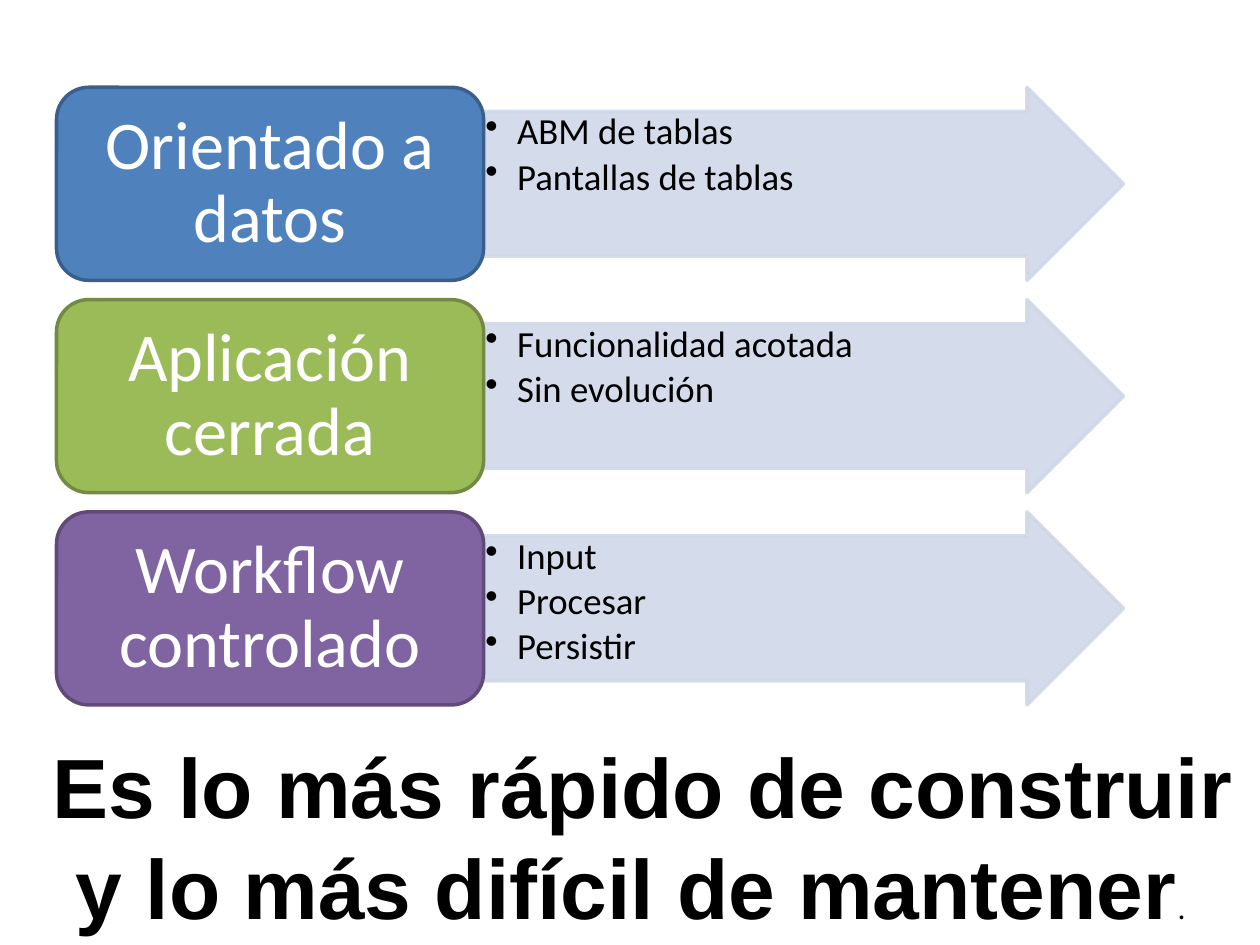
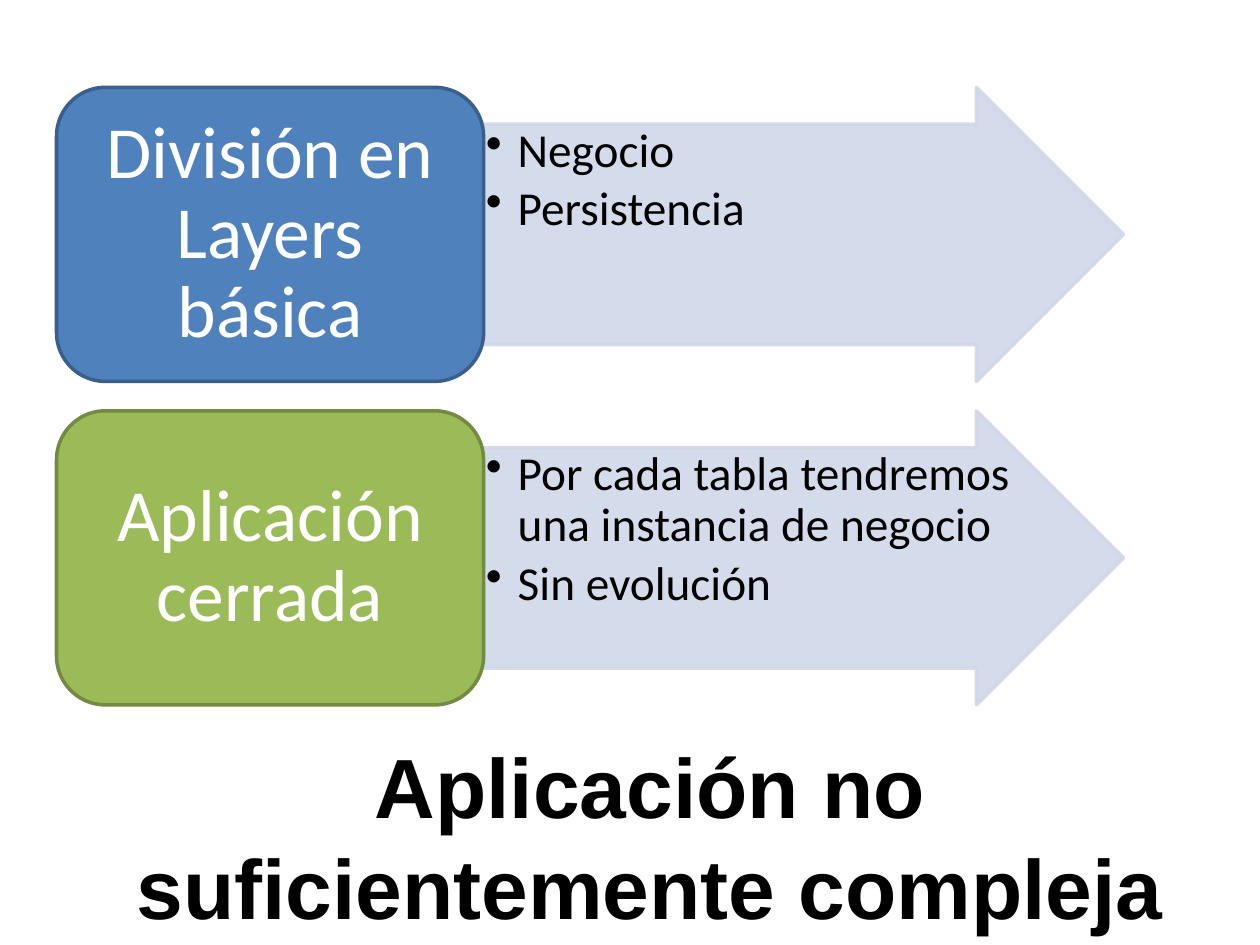
"""Build two slides of labelled arrows, each closed by a bold statement."""
from dataclasses import dataclass

from lxml.etree import SubElement
from pptx import Presentation
from pptx.dml.color import RGBColor
from pptx.enum.shapes import MSO_SHAPE
from pptx.enum.text import MSO_ANCHOR, MSO_AUTO_SIZE, PP_ALIGN
from pptx.oxml.ns import qn
from pptx.util import Cm, Pt


@dataclass(frozen=True)
class Theme:
    """Colours, fonts and type sizes shared by the slides."""

    label_colors: tuple = (("4F81BD", "3A5F8C"), ("9BBB59", "738A42"), ("8064A2", "5F4A78"))
    arrow: str = "D0D8E8"
    arrow_opacity: int = 90
    light: str = "FFFFFF"
    dark: str = "000000"
    diagram_font: str = "Calibri"
    statement_font: str = "Arial"
    statement_size: int = 48
    full_stop_size: int = 18
    outline: int = 2


THEME = Theme()
LEFT, TOP = Cm(1.14), Cm(1.76)
LABEL_WIDTH, ARROW_WIDTH = Cm(8.61), Cm(12.9)
STACK_HEIGHT = Cm(12.45)
GAP_RATIO = 0.1


def set_font(font, name, size, color, bold=False):
    """Format a paragraph or run font."""
    font.name = name
    font.size = Pt(size)
    font.bold = bold
    font.color.rgb = RGBColor.from_string(color)


def set_indent(paragraph, margin, first_line):
    """Set the left margin and first-line indent of a paragraph."""
    properties = paragraph._p.get_or_add_pPr()
    properties.set("marL", str(margin))
    properties.set("indent", str(first_line))
    return properties


def set_insets(frame, horizontal, vertical):
    """Set equal insets on opposite sides of a text frame."""
    frame.word_wrap = True
    frame.margin_left = frame.margin_right = horizontal
    frame.margin_top = frame.margin_bottom = vertical


def add_block(slide, kind, bounds, fill, line):
    """Add a filled, outlined shape without shadow."""
    shape = slide.shapes.add_shape(kind, *bounds)
    shape.shadow.inherit = False
    shape.fill.solid()
    shape.fill.fore_color.rgb = RGBColor.from_string(fill)
    shape.line.color.rgb = RGBColor.from_string(line)
    shape.line.width = Pt(THEME.outline)
    return shape


def add_arrow(slide, bounds, items, size):
    """Add a translucent arrow holding a bulleted list."""
    shape = add_block(slide, MSO_SHAPE.RIGHT_ARROW, bounds, THEME.arrow, THEME.arrow)
    shape.adjustments[0] = 0.75
    for color in shape._element.spPr.iter(qn("a:srgbClr")):
        SubElement(color, qn("a:alpha")).set("val", str(THEME.arrow_opacity * 1000))
    frame = shape.text_frame
    frame.vertical_anchor = MSO_ANCHOR.TOP
    set_insets(frame, Pt(size * 0.05), Pt(size * 0.05))
    for index, item in enumerate(items):
        paragraph = frame.add_paragraph() if index else frame.paragraphs[0]
        paragraph.text = item
        properties = set_indent(paragraph, Cm(0.64), -Cm(0.64))
        SubElement(properties, qn("a:buChar")).set("char", "•")
        paragraph.level = 1
        paragraph.alignment = PP_ALIGN.LEFT
        paragraph.line_spacing = 0.9
        paragraph.space_after = Pt(size * 0.15)
        set_font(paragraph.font, THEME.diagram_font, size, THEME.dark)


def add_label(slide, bounds, text, size, colors):
    """Add a rounded label with centred text."""
    shape = add_block(slide, MSO_SHAPE.ROUNDED_RECTANGLE, bounds, *colors)
    frame = shape.text_frame
    frame.vertical_anchor = MSO_ANCHOR.MIDDLE
    set_insets(frame, Pt(size * 0.3), Pt(size * 0.15))
    paragraph = frame.paragraphs[0]
    paragraph.text = text
    paragraph.alignment = PP_ALIGN.CENTER
    paragraph.line_spacing = 0.9
    set_font(paragraph.font, THEME.diagram_font, size, THEME.light)


def add_rows(slide, rows, label_size, list_size):
    """Stack label and arrow pairs evenly in the diagram area."""
    height = int(STACK_HEIGHT / (len(rows) + GAP_RATIO * (len(rows) - 1)))
    for index, ((label, items), colors) in enumerate(zip(rows, THEME.label_colors)):
        top = TOP + int(index * height * (1 + GAP_RATIO))
        add_arrow(slide, (LEFT + LABEL_WIDTH, top, ARROW_WIDTH, height), items, list_size)
        add_label(slide, (LEFT, top, LABEL_WIDTH, height), label, label_size, colors)


def set_statement(slide, lines, alignment):
    """Place the title at the foot of the slide and return its paragraphs."""
    title = slide.shapes.title
    title.left, title.top, title.width, title.height = Cm(0.81), Cm(14.68), Cm(24.59), Cm(4.37)
    frame = title.text_frame
    frame.auto_size = MSO_AUTO_SIZE.NONE
    frame.vertical_anchor = MSO_ANCHOR.TOP
    set_insets(frame, Cm(0.25), Cm(0.13))
    for index, line in enumerate(lines):
        paragraph = frame.add_paragraph() if index else frame.paragraphs[0]
        paragraph.text = line
        paragraph.alignment = alignment
        set_font(paragraph.font, THEME.statement_font, THEME.statement_size, THEME.dark, True)
    return frame.paragraphs


def build_data_slide(slide):
    """Fill the slide on data-oriented applications."""
    rows = (
        ("Orientado a datos", ("ABM de tablas", "Pantallas de tablas")),
        ("Aplicación cerrada", ("Funcionalidad acotada", "Sin evolución")),
        ("Workflow controlado", ("Input", "Procesar", "Persistir")),
    )
    add_rows(slide, rows, label_size=39, list_size=21)
    lines = ("Es lo más rápido de construir", "y lo más difícil de mantener")
    closing = set_statement(slide, lines, PP_ALIGN.LEFT)[-1]
    set_indent(closing, 0, Cm(0.47))
    full_stop = closing.add_run()
    full_stop.text = "."
    set_font(full_stop.font, THEME.diagram_font, THEME.full_stop_size, THEME.dark)


def build_layers_slide(slide):
    """Fill the slide on basic layering."""
    rows = (
        ("División en Layers básica", ("Negocio", "Persistencia")),
        ("Aplicación cerrada",
         ("Por cada tabla tendremos una instancia de negocio", "Sin evolución")),
    )
    add_rows(slide, rows, label_size=42, list_size=27)
    set_statement(slide, ("Aplicación no suficientemente compleja",), PP_ALIGN.CENTER)


def main():
    """Create and save the presentation."""
    presentation = Presentation()
    presentation.slide_width, presentation.slide_height = Cm(25.4), Cm(19.05)
    title_only = presentation.slide_layouts[5]
    for build in (build_data_slide, build_layers_slide):
        build(presentation.slides.add_slide(title_only))
    presentation.save("out.pptx")


if __name__ == "__main__":
    main()
